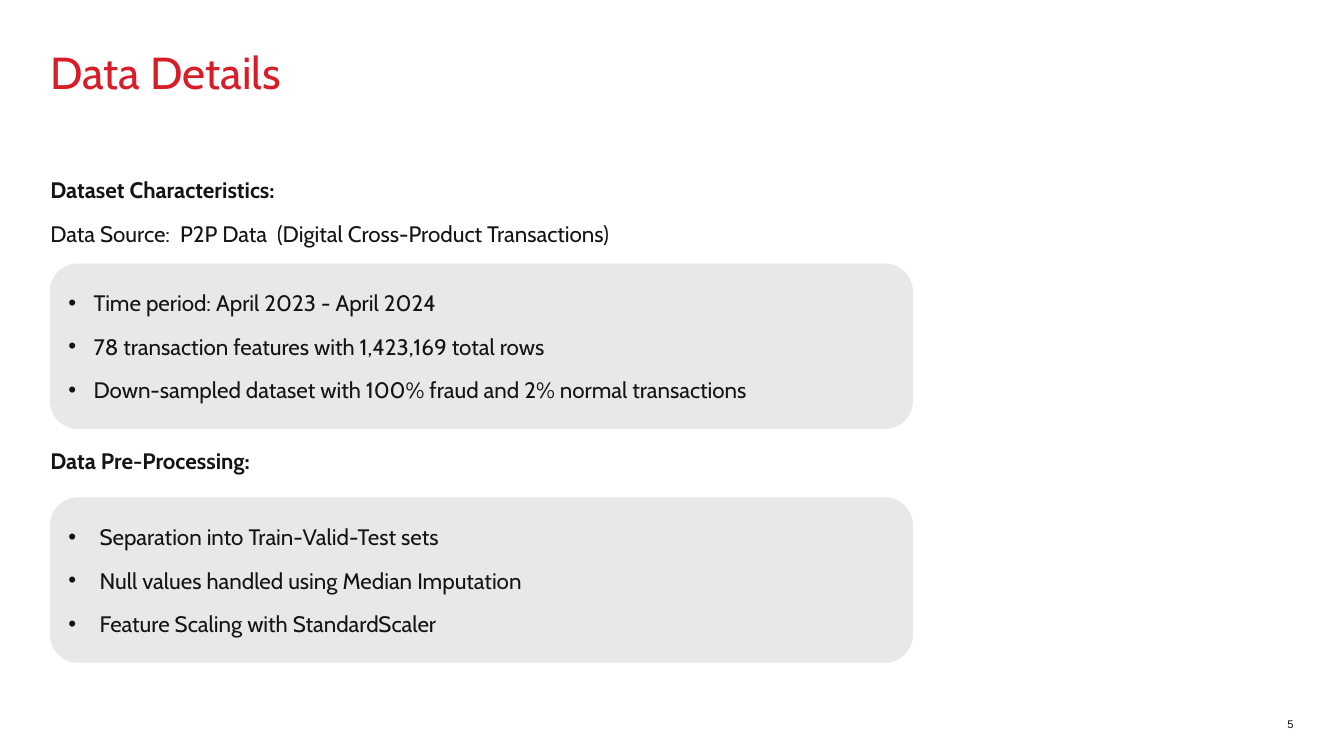
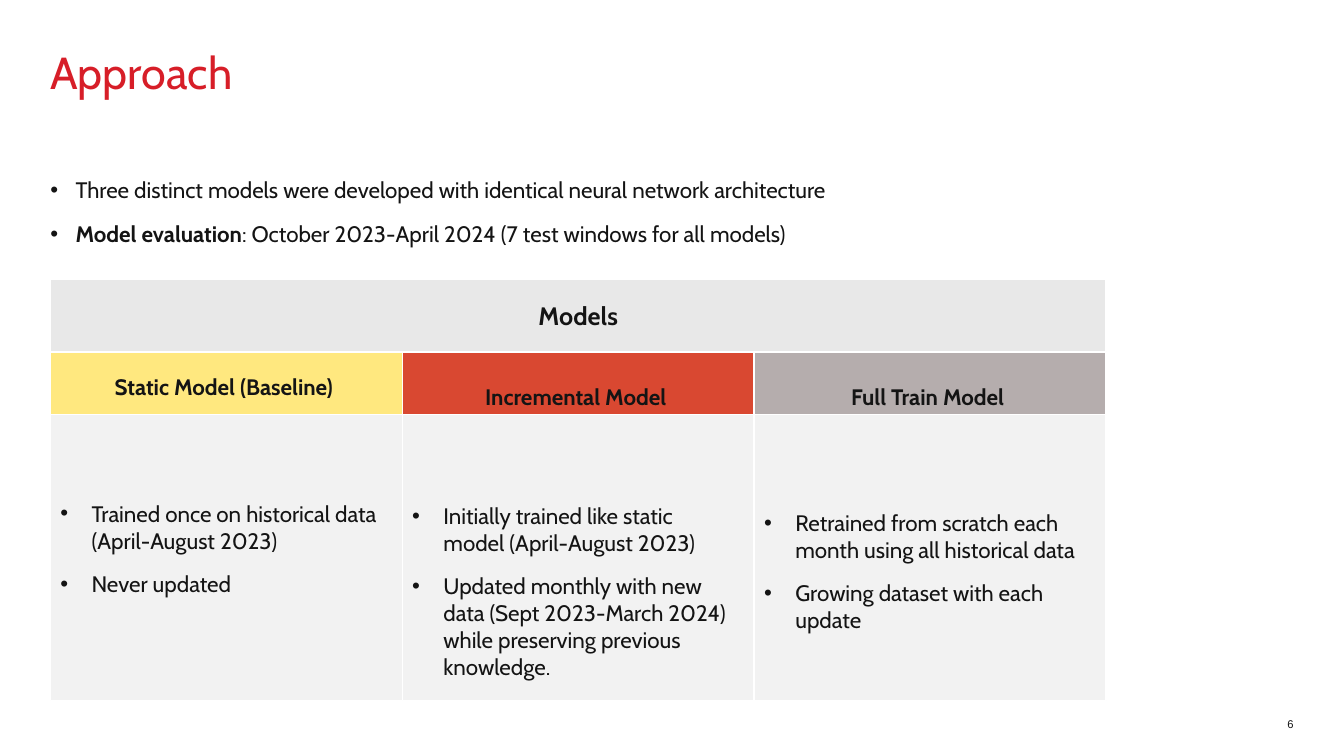
from dataclasses import dataclass

from pptx import Presentation
from pptx.dml.color import RGBColor
from pptx.enum.shapes import MSO_SHAPE
from pptx.enum.text import MSO_ANCHOR, PP_ALIGN
from pptx.oxml.ns import qn
from pptx.util import Emu, Pt
from lxml import etree

EMU_PER_PX = 9144  # 100 px to the inch
RECTANGLE = MSO_SHAPE.RECTANGLE
ROUNDED = MSO_SHAPE.ROUNDED_RECTANGLE
TOP, MIDDLE, BOTTOM = MSO_ANCHOR.TOP, MSO_ANCHOR.MIDDLE, MSO_ANCHOR.BOTTOM
LEFT, CENTER, RIGHT = PP_ALIGN.LEFT, PP_ALIGN.CENTER, PP_ALIGN.RIGHT


@dataclass(frozen=True)
class Theme:
    font: str = "Cabin"
    number_font: str = "Arial"
    title: str = "D71E28"
    ink: str = "141414"
    white: str = "FFFFFF"
    panel: str = "E8E8E8"
    card: str = "F2F2F2"
    static: str = "FFE87F"
    incremental: str = "D73F26"
    full_train: str = "B5ADAD"
    title_size: int = 32
    heading_size: int = 18
    body_size: int = 16
    number_size: int = 8
    space_before: int = 12


THEME = Theme()
MARGIN = 50
BODY_TOP = 175
BODY_WIDTH = 1183


def px(value):
    return Emu(value * EMU_PER_PX)


def box(left, top, width, height):
    return [px(value) for value in (left, top, width, height)]


def add_bullet(paragraph, indent):
    properties = paragraph._p.get_or_add_pPr()
    properties.set("marL", str(px(indent)))
    properties.set("indent", str(-px(indent)))
    etree.SubElement(properties, qn("a:buFont")).set("typeface", "Arial")
    etree.SubElement(properties, qn("a:buChar")).set("char", "•")


def write(shape, paragraphs, size=THEME.body_size, color=THEME.ink,
          font=THEME.font, bold=False, align=LEFT, anchor=TOP,
          insets=(0, 0, 0, 0), bullet=0, line_spacing=None):
    """Fill a shape; a paragraph is a string or a list of (text, bold) runs."""
    frame = shape.text_frame
    frame.word_wrap = True
    frame.vertical_anchor = anchor
    (frame.margin_left, frame.margin_top,
     frame.margin_right, frame.margin_bottom) = map(px, insets)
    for index, content in enumerate(paragraphs):
        paragraph = frame.add_paragraph() if index else frame.paragraphs[0]
        paragraph.alignment = align
        if index:
            paragraph.space_before = Pt(THEME.space_before)
        if line_spacing:
            paragraph.line_spacing = line_spacing
        if bullet:
            add_bullet(paragraph, bullet)
        runs = [(content, bold)] if isinstance(content, str) else content
        for text, run_bold in runs:
            run = paragraph.add_run()
            run.text = text
            run.font.name = font
            run.font.size = Pt(size)
            run.font.bold = run_bold
            run.font.color.rgb = RGBColor.from_string(color)


def add_text(slide, bounds, paragraphs, **style):
    write(slide.shapes.add_textbox(*box(*bounds)), paragraphs, **style)


def add_block(slide, kind, bounds, fill, line, line_width, paragraphs,
              opacity=100, **style):
    shape = slide.shapes.add_shape(kind, *box(*bounds))
    shape.shadow.inherit = False
    shape.fill.solid()
    shape.fill.fore_color.rgb = RGBColor.from_string(fill)
    if opacity < 100:
        color = shape.fill._xPr.find(qn("a:solidFill"))[0]
        etree.SubElement(color, qn("a:alpha")).set("val", str(opacity * 1000))
    shape.line.color.rgb = RGBColor.from_string(line)
    shape.line.width = Pt(line_width)
    write(shape, paragraphs, **style)


def add_panel(slide, top, bullet, paragraphs):
    add_block(slide, ROUNDED, (MARGIN, top, 855, 163), THEME.panel,
              THEME.panel, 0.75, paragraphs, anchor=MIDDLE,
              insets=(10, 5, 10, 5), bullet=bullet)


def add_cell(slide, bounds, fill, paragraphs, **style):
    add_block(slide, RECTANGLE, bounds, fill, THEME.white, 1, paragraphs,
              **style)


def add_slide(presentation, title, number):
    slide = presentation.slides.add_slide(presentation.slide_layouts[6])
    add_text(slide, (MARGIN, 50, 1233, 100), [title], size=THEME.title_size,
             color=THEME.title, line_spacing=0.9)
    add_text(slide, (1233, 700, 50, 25), [str(number)],
             size=THEME.number_size, font=THEME.number_font, align=RIGHT,
             anchor=BOTTOM)
    return slide


def build_data_details(presentation):
    slide = add_slide(presentation, "Data Details", 5)
    add_text(slide, (MARGIN, BODY_TOP, BODY_WIDTH, 77), [
        [("Dataset Characteristics:", True)],
        "Data Source:  P2P Data  (Digital Cross-Product Transactions)",
    ])
    add_panel(slide, 262, 25, [
        "Time period: April 2023 - April 2024",
        "78 transaction features with 1,423,169 total rows",
        "Down-sampled dataset with 100% fraud and 2% normal transactions",
    ])
    add_text(slide, (MARGIN, 444, BODY_WIDTH, 27), ["Data Pre-Processing:"],
             bold=True)
    add_panel(slide, 494, 31, [
        "Separation into Train-Valid-Test sets",
        "Null values handled using Median Imputation",
        "Feature Scaling with StandardScaler",
    ])


def build_approach(presentation):
    slide = add_slide(presentation, "Approach", 6)
    add_text(slide, (MARGIN, BODY_TOP, BODY_WIDTH, 77), [
        "Three distinct models were developed with identical neural network "
        "architecture",
        [("Model evaluation", True),
         (": October 2023-April 2024 (7 test windows for all models)", False)],
    ], bullet=25)

    # name, fill, opacity, name offset, card insets, points
    models = [
        ("Static Model (Baseline) ", THEME.static, 100, 0, (10, 85, 0, 0),
         ["Trained once on historical data (April-August 2023)",
          "Never updated"]),
        ("Incremental Model ", THEME.incremental, 95, 20, (10, 87, 20, 0),
         ["Initially trained like static model (April-August 2023)",
          "Updated monthly with new data (Sept 2023-March 2024) while "
          "preserving previous knowledge."]),
        ("Full Train Model ", THEME.full_train, 100, 20, (10, 94, 30, 0),
         ["Retrained from scratch each month using all historical data",
          "Growing dataset with each update"]),
    ]
    column = 349
    add_cell(slide, (MARGIN, 277, column * len(models), 72), THEME.panel,
             ["Models"], size=THEME.heading_size, bold=True, align=CENTER,
             anchor=MIDDLE)
    for index, (name, fill, opacity, offset, insets, points) in enumerate(models):
        left = MARGIN + index * column
        add_cell(slide, (left, 349, column, 69), fill, [name],
                 opacity=opacity, bold=True, align=CENTER, anchor=MIDDLE,
                 insets=(0, offset, 0, 0))
        add_cell(slide, (left, 411, column, 284), THEME.card, points,
                 insets=insets, bullet=31)


def main():
    presentation = Presentation()
    presentation.slide_width = px(1333)
    presentation.slide_height = px(750)
    build_data_details(presentation)
    build_approach(presentation)
    presentation.save("out.pptx")


if __name__ == "__main__":
    main()
